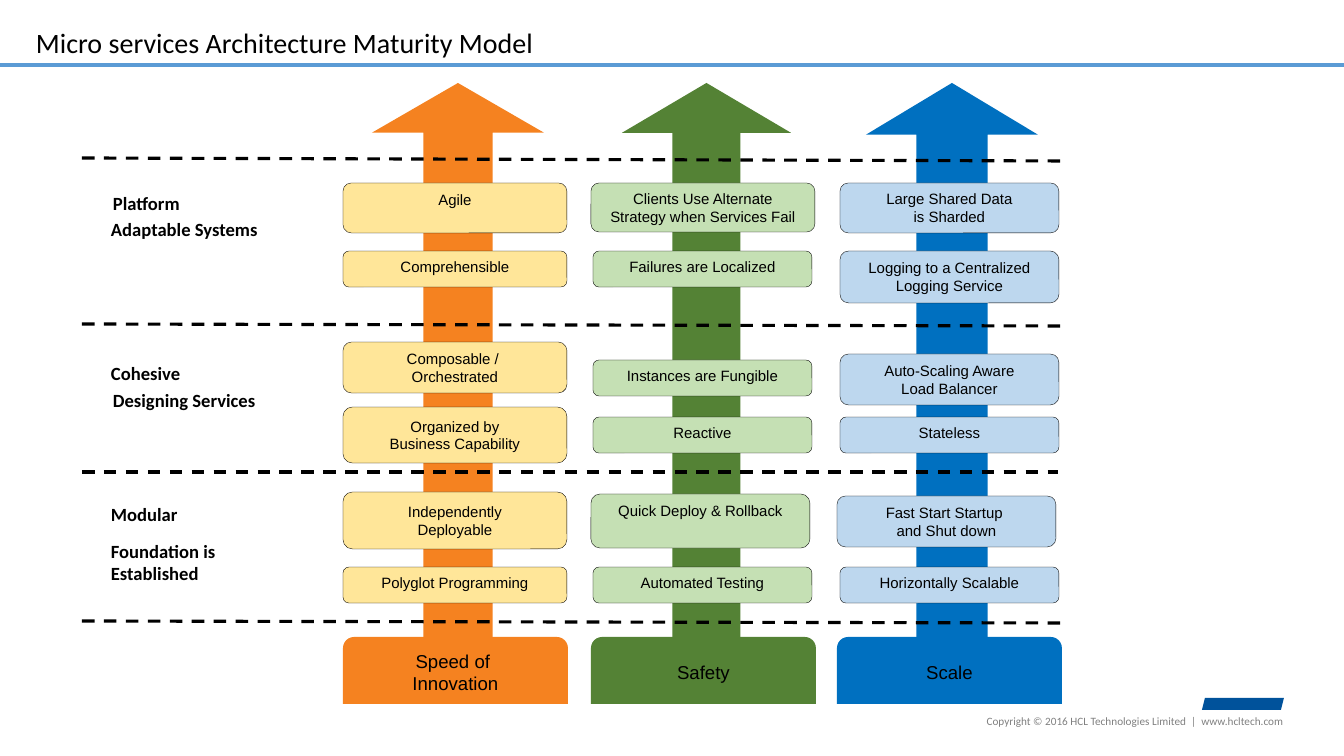
"""Build the micro services maturity model slide."""
from pptx import Presentation
from pptx.dml.color import RGBColor
from pptx.enum.dml import MSO_LINE
from pptx.enum.shapes import MSO_CONNECTOR, MSO_SHAPE
from pptx.enum.text import MSO_ANCHOR, MSO_AUTO_SIZE, PP_ALIGN
from pptx.oxml.ns import qn
from pptx.util import Pt

PIXEL = 12192000 / 1344


def color(value):
    return RGBColor.from_string(value)


def write(frame, text, size, font="Arial", align=PP_ALIGN.CENTER, bold=False, ink="000000"):
    frame.word_wrap = False
    for index, paragraph_text in enumerate(text.split("\n")):
        para = frame.paragraphs[0] if index == 0 else frame.add_paragraph()
        para.alignment = align
        for part, line in enumerate(paragraph_text.split("\v")):
            if part:
                para.add_line_break()
            span = para.add_run()
            span.text = line
            span.font.name = font
            span.font.size = Pt(size)
            span.font.bold = bold
            span.font.color.rgb = color(ink)


deck = Presentation()
deck.slide_width = round(1344 * PIXEL)
deck.slide_height = round(756 * PIXEL)
page = deck.slides.add_slide(deck.slide_layouts[6])

arrows = [
    (372, 172, 618, 0.402, 0.289, "F58220"),
    (622, 169, 621, 0.402, 0.295, "548235"),
    (866, 172, 621, 0.414, 0.301, "0070C0"),
]
for left, width, height, shaft, head, fill in arrows:
    place = [round(n * PIXEL) for n in (left, 83, width, height)]
    arrow = page.shapes.add_shape(MSO_SHAPE.UP_ARROW, *place)
    arrow.adjustments[0] = shaft
    arrow.adjustments[1] = head
    arrow.shadow.inherit = False
    arrow.fill.solid()
    arrow.fill.fore_color.rgb = color(fill)
    arrow.line.fill.background()

bases = [
    (343, "F58220", "Speed of \nInnovation"),
    (591, "548235", "Safety"),
    (837, "0070C0", "Scale"),
]
for left, fill, text in bases:
    place = [round(n * PIXEL) for n in (left, 637, 225, 67)]
    base = page.shapes.add_shape(MSO_SHAPE.ROUND_2_SAME_RECTANGLE, *place)
    base.shadow.inherit = False
    base.fill.solid()
    base.fill.fore_color.rgb = color(fill)
    base.line.fill.background()
    base.text_frame.vertical_anchor = MSO_ANCHOR.MIDDLE
    write(base.text_frame, text, 13.3)

rules = [
    (82, 621, 1061, 623, "000000", MSO_LINE.DASH),
    (82, 472, 1058, 472, "000000", MSO_LINE.DASH),
    (82, 324, 1061, 326, "000000", MSO_LINE.DASH),
    (82, 158, 1061, 161, "000000", MSO_LINE.DASH),
    (0, 65, 1344, 65, "5B9BD5", MSO_LINE.SOLID),
]
for *ends, ink, dash in rules:
    place = [round(n * PIXEL) for n in ends]
    rule = page.shapes.add_connector(MSO_CONNECTOR.STRAIGHT, *place)
    rule.line.color.rgb = color(ink)
    rule.line.width = Pt(2.25)
    rule.line.dash_style = dash
    properties = rule._element.spPr
    properties.append(properties.makeelement(qn("a:effectLst"), {}))

practices = {
    "FFE699": [
        (343, 183, 224, 50, "Agile"),
        (343, 251, 224, 36, "Comprehensible"),
        (343, 342, 224, 51, "Composable / \nOrchestrated"),
        (343, 407, 224, 56, "Organized by\nBusiness Capability"),
        (343, 492, 224, 57, "Independently\nDeployable"),
        (343, 567, 224, 36, "Polyglot Programming"),
    ],
    "C5E0B4": [
        (591, 183, 224, 49, "Clients Use Alternate\vStrategy when Services Fail"),
        (593, 251, 219, 36, "Failures are Localized"),
        (593, 360, 219, 36, "Instances are Fungible"),
        (593, 417, 219, 36, "Reactive"),
        (591, 494, 219, 54, "Quick Deploy & Rollback"),
        (593, 567, 219, 36, "Automated Testing"),
    ],
    "BDD7EE": [
        (840, 183, 219, 50, "Large Shared Data\vis Sharded"),
        (840, 251, 219, 52, "Logging to a Centralized\nLogging Service"),
        (840, 354, 219, 51, "Auto-Scaling Aware\nLoad Balancer"),
        (840, 417, 219, 36, "Stateless"),
        (837, 496, 219, 51, "Fast Start Startup \nand Shut down"),
        (840, 567, 219, 36, "Horizontally Scalable"),
    ],
}
for fill, column in practices.items():
    for *bounds, text in column:
        place = [round(n * PIXEL) for n in bounds]
        box = page.shapes.add_shape(MSO_SHAPE.ROUNDED_RECTANGLE, *place)
        box.shadow.inherit = False
        box.fill.solid()
        box.fill.fore_color.rgb = color(fill)
        box.line.color.rgb = color("000000")
        box.line.width = Pt(0.25)
        two_lines = len(text.splitlines()) > 1
        box.text_frame.vertical_anchor = MSO_ANCHOR.MIDDLE if two_lines else MSO_ANCHOR.TOP
        write(box.text_frame, text, 10.7)

labels = [
    (26, 21, 523, 44, "Micro services Architecture Maturity Model", 20, False),
    (103, 187, 89, 33, "Platform", 13.3, True),
    (101, 213, 169, 33, "Adaptable Systems", 13.3, True),
    (101, 357, 91, 33, "Cohesive", 13.3, True),
    (103, 384, 164, 33, "Designing Services", 13.3, True),
    (101, 498, 88, 33, "Modular", 13.3, True),
    (101, 535, 126, 55, "Foundation is\nEstablished", 13.3, True),
]
for *bounds, text, size, bold in labels:
    place = [round(n * PIXEL) for n in bounds]
    label = page.shapes.add_textbox(*place)
    label.text_frame.auto_size = MSO_AUTO_SIZE.SHAPE_TO_FIT_TEXT
    write(label.text_frame, text, size, "Calibri", PP_ALIGN.LEFT, bold)

place = [round(n * PIXEL) for n in (985, 714, 299, 13)]
footer = page.shapes.add_textbox(*place)
frame = footer.text_frame
frame.margin_left = frame.margin_top = frame.margin_right = frame.margin_bottom = 0
frame.auto_size = MSO_AUTO_SIZE.SHAPE_TO_FIT_TEXT
notice = "Copyright © 2016 HCL Technologies Limited  |  www.hcltech.com"
write(frame, notice, 8, "Calibri", PP_ALIGN.RIGHT, ink="808080")

place = [round(n * PIXEL) for n in (1202, 698, 82, 12)]
emblem = page.shapes.add_shape(MSO_SHAPE.PARALLELOGRAM, *place)
emblem.shadow.inherit = False
emblem.fill.solid()
emblem.fill.fore_color.rgb = color("00529B")
emblem.line.fill.background()

deck.save("out.pptx")
